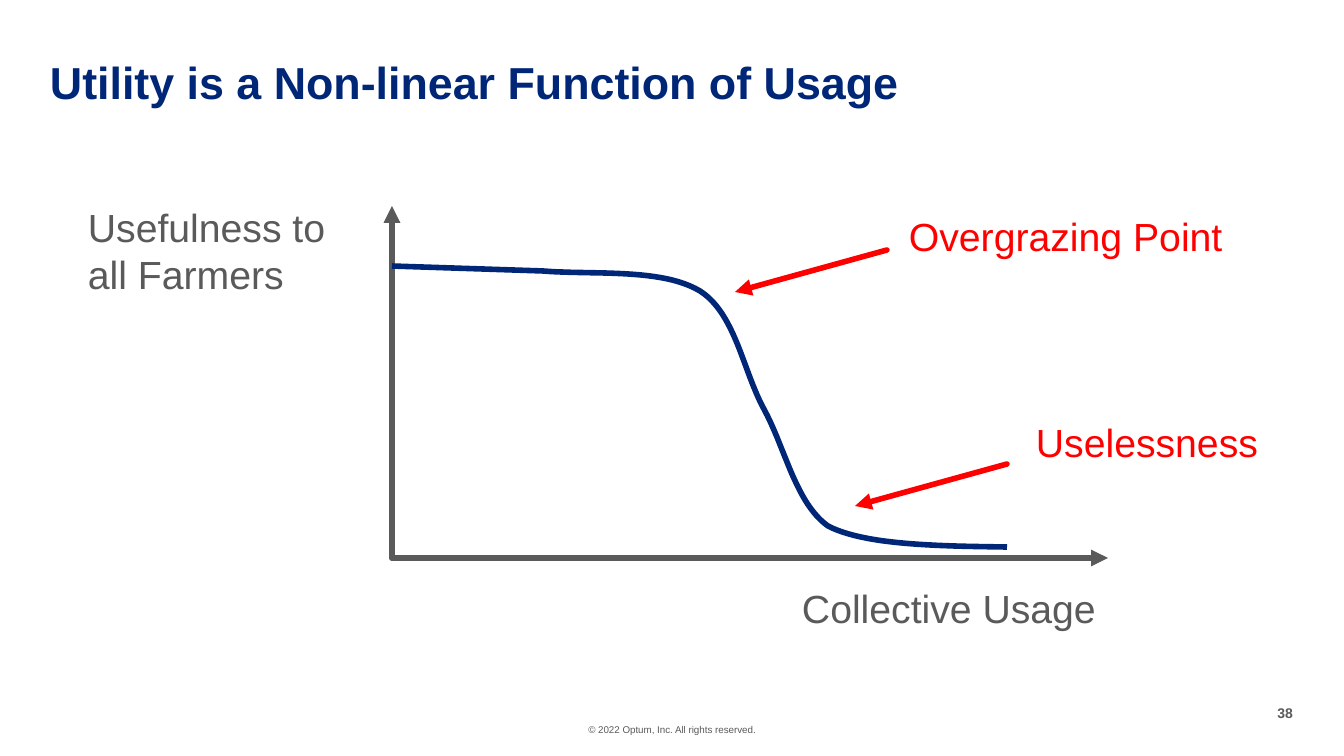
import pptx
import pptx.dml.color
import pptx.enum.shapes
import pptx.enum.text
import pptx.oxml.ns
import pptx.util
from lxml import etree

PX = 914400 / 100.8  # EMU in one px
COLORS = {"gray": "5A5A5A", "navy": "002677", "red": "FF0000"}
LINE_WIDTH = 4
CURVE_STEPS = 24

LABEL = {"size": 28, "bold": False, "color": "gray", "align": "LEFT",
         "inset": (10, 5), "wrap": False, "spacing": None}
PLAIN = LABEL | {"inset": (0, 0)}
CALLOUT = LABEL | {"color": "red"}
TITLE = PLAIN | {"size": 32, "bold": True, "color": "navy", "wrap": True, "spacing": 0.9}
COPYRIGHT = PLAIN | {"size": 7, "align": "CENTER", "wrap": True}
PAGE_NUMBER = PLAIN | {"size": 10, "bold": True, "align": "RIGHT"}

# lines of text, (left, top, width, height), format
TEXTS = [
    (["© 2022 Optum, Inc. All rights reserved."], (518, 724, 308, 12), COPYRIGHT),
    (["38"], (1276, 705, 17, 17), PAGE_NUMBER),
    (["Utility is a Non-linear Function of Usage"], (50, 61, 1058, 48), TITLE),
    (["Usefulness to", "all Farmers"], (78, 198, 260, 105), LABEL),
    (["Collective Usage"], (792, 579, 318, 57), LABEL),
    (["Overgrazing Point"], (899, 207, 338, 57), CALLOUT),
    (["Uselessness"], (1026, 413, 245, 57), CALLOUT),
]

ORIGIN = (392, 558)
ARROWS = [
    (ORIGIN, (392, 206), "gray"),
    (ORIGIN, (1108, 558), "gray"),
    ((887, 250), (735, 292), "red"),
    ((1007, 464), (855, 506), "red"),
]

CURVE_START = (392, 266)
BEND_START = (543, 271)
# two control points and an end point for each bend
BENDS = [
    ((594, 275), (662, 268), (700, 291)),
    ((736, 314), (743, 372), (765, 411)),
    ((786, 451), (796, 503), (828, 526)),
    ((865, 545), (936, 546), (1007, 547)),
]


def emu(*lengths):
    return [round(length * PX) for length in lengths]


def rgb(name):
    return pptx.dml.color.RGBColor.from_string(COLORS[name])


def style_line(line, color):
    line.color.rgb = rgb(color)
    line.width = pptx.util.Pt(LINE_WIDTH)


def add_text(slide, lines, place, style):
    box = slide.shapes.add_textbox(*emu(*place))
    frame = box.text_frame
    across, down = emu(*style["inset"])
    settings = {"word_wrap": style["wrap"], "margin_left": across, "margin_right": across,
                "margin_top": down, "margin_bottom": down}
    for name, value in settings.items():
        setattr(frame, name, value)
    frame.text = "\n".join(lines)
    font = {"name": "Arial", "size": pptx.util.Pt(style["size"]), "bold": style["bold"]}
    for para in frame.paragraphs:
        para.alignment = getattr(pptx.enum.text.PP_ALIGN, style["align"])
        para.line_spacing = style["spacing"]
        for span in para.runs:
            for name, value in font.items():
                setattr(span.font, name, value)
            span.font.color.rgb = rgb(style["color"])


def add_arrow(slide, start, end, color):
    arrow = slide.shapes.add_connector(
        pptx.enum.shapes.MSO_CONNECTOR.STRAIGHT, *emu(*start, *end))
    style_line(arrow.line, color)
    outline = arrow.line._get_or_add_ln()
    outline.set("cap", "rnd")
    etree.SubElement(outline, pptx.oxml.ns.qn("a:round"))
    etree.SubElement(outline, pptx.oxml.ns.qn("a:tailEnd"), type="triangle")
    etree.SubElement(arrow._element.spPr, pptx.oxml.ns.qn("a:effectLst"))


def bezier_points(*anchors):
    """Points along a cubic Bezier curve, without its start."""
    points = []
    for step in range(1, CURVE_STEPS + 1):
        t = step / CURVE_STEPS
        weights = ((1 - t) ** 3, 3 * t * (1 - t) ** 2, 3 * t * t * (1 - t), t ** 3)
        points.append(tuple(sum(w * v for w, v in zip(weights, axis))
                            for axis in zip(*anchors)))
    return points


def add_curve(slide):
    points = [BEND_START]
    for bend in BENDS:
        points += bezier_points(points[-1], *bend)
    builder = slide.shapes.build_freeform(*emu(*CURVE_START))
    builder.add_line_segments([emu(*point) for point in points], close=False)
    curve = builder.convert_to_shape()
    curve.shadow.inherit = False
    curve.fill.background()
    style_line(curve.line, "navy")


def main():
    deck = pptx.Presentation()
    deck.slide_width, deck.slide_height = emu(1344, 756)
    page = deck.slides.add_slide(deck.slide_layouts[6])
    for start, end, color in ARROWS:
        add_arrow(page, start, end, color)
    add_curve(page)
    for lines, place, style in TEXTS:
        add_text(page, lines, place, style)
    deck.save("out.pptx")


if __name__ == "__main__":
    main()
